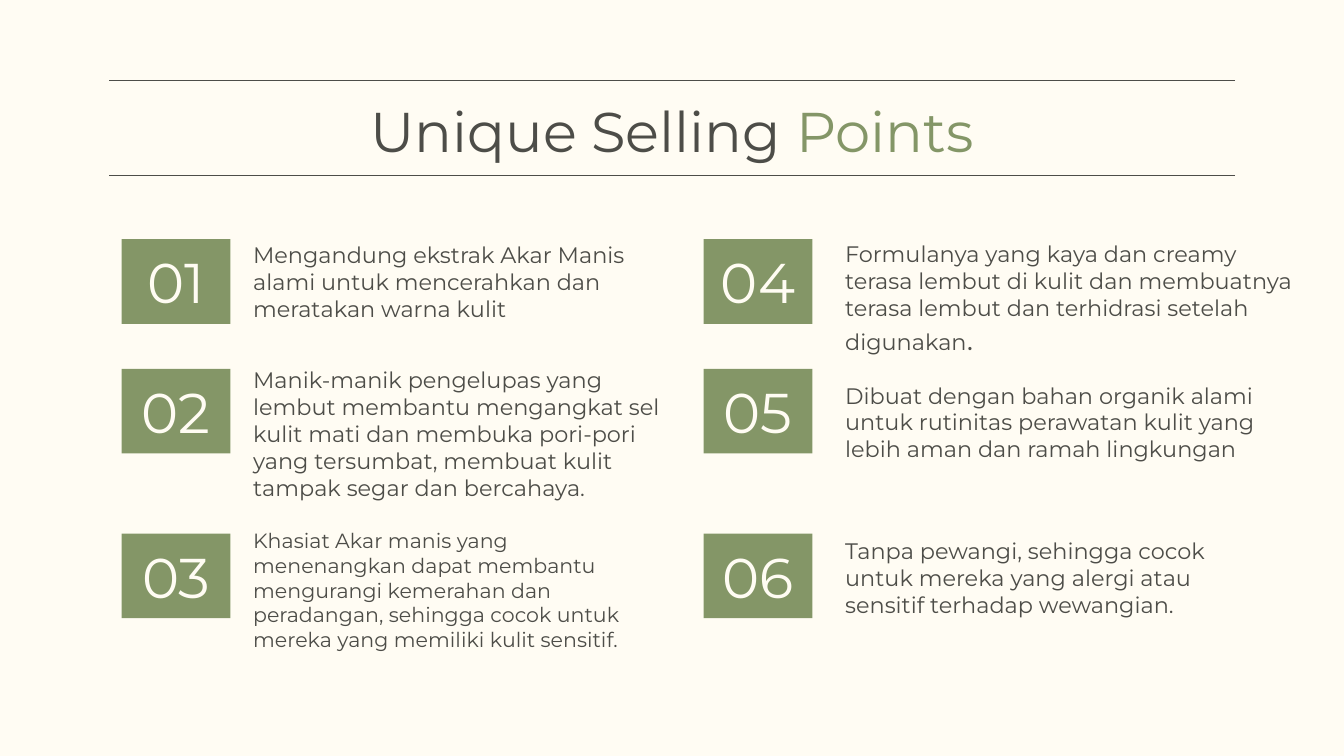
from dataclasses import dataclass
from lxml.etree import SubElement
from pptx import Presentation
from pptx.dml.color import RGBColor as Color
from pptx.enum.shapes import MSO_CONNECTOR as Link, MSO_SHAPE as Form
from pptx.enum.text import MSO_ANCHOR as Anchor, PP_ALIGN as Align
from pptx.oxml.ns import qn
from pptx.util import Emu, Pt

SCALE = 4572


@dataclass(frozen=True)
class Theme:
    face: str = "Montserrat"
    paper: Color = Color.from_string("FFFCF3")
    ink: Color = Color.from_string("4D4D48")
    green: Color = Color.from_string("849667")
    head: int = 30
    body: int = 12
    small: int = 11
    stop: int = 16
    rule: float = 0.75


@dataclass(frozen=True)
class Box:
    left: int
    top: int
    width: int
    height: int


@dataclass(frozen=True)
class Run:
    text: str
    size: int
    color: Color


@dataclass(frozen=True)
class Point:
    box: Box
    runs: tuple[Run, ...]


THEME = Theme()
COLS = (181, 1047)
ROWS = (356, 549, 794)
TILE = (162, 126)


def px(size: int) -> Emu:
    return Emu(size * SCALE)


def place(box: Box) -> tuple[Emu, ...]:
    return tuple(px(side) for side in (box.left, box.top, box.width, box.height))


def note(text: str, size: int = THEME.body) -> Run:
    return Run(text, size, THEME.ink)


def write(shape, runs: tuple[Run, ...], align: Align = Align.LEFT,
          anchor: Anchor = Anchor.TOP) -> None:
    frame = shape.text_frame
    inset = px(20)
    style = {"word_wrap": True, "vertical_anchor": anchor,
             "margin_left": inset, "margin_right": inset,
             "margin_top": inset, "margin_bottom": inset}
    for name, value in style.items():
        setattr(frame, name, value)
    para = frame.paragraphs[0]
    para.alignment = align
    for run in runs:
        part = para.add_run()
        part.text = run.text
        for name, value in {"name": THEME.face, "size": Pt(run.size)}.items():
            setattr(part.font, name, value)
        part.font.color.rgb = run.color


def add_text(slide, box: Box, runs: tuple[Run, ...],
             align: Align = Align.LEFT) -> None:
    write(slide.shapes.add_textbox(*place(box)), runs, align)


def add_tile(slide, box: Box, label: str) -> None:
    tile = slide.shapes.add_shape(Form.RECTANGLE, *place(box))
    tile.shadow.inherit = False
    tile.fill.solid()
    tile.fill.fore_color.rgb = THEME.green
    tile.line.fill.background()
    write(tile, (Run(label, THEME.head, THEME.paper),), Align.CENTER, Anchor.MIDDLE)


def add_rule(slide, top: int) -> None:
    rule = slide.shapes.add_connector(
        Link.STRAIGHT, px(1838), px(top), px(162), px(top))
    rule.line.color.rgb = THEME.ink
    rule.line.width = Pt(THEME.rule)
    SubElement(rule._element.spPr, qn("a:effectLst"))


POINTS = (
    Point(Box(357, 339, 676, 144), (
        note("Mengandung ekstrak Akar Manis alami untuk mencerahkan dan "
             "meratakan warna kulit"),)),
    Point(Box(357, 525, 676, 232), (
        note("Manik-manik pengelupas yang lembut membantu mengangkat sel kulit "
             "mati dan membuka pori-pori yang tersumbat, membuat kulit tampak "
             "segar dan bercahaya."),)),
    Point(Box(357, 766, 600, 218), (
        note("Khasiat Akar manis yang menenangkan dapat membantu mengurangi "
             "kemerahan dan peradangan, sehingga cocok untuk mereka yang "
             "memiliki kulit sensitif.", THEME.small),)),
    Point(Box(1238, 337, 714, 198), (
        note("Formulanya yang kaya dan creamy terasa lembut di kulit dan "
             "membuatnya terasa lembut dan terhidrasi setelah digunakan"),
        note(".", THEME.stop))),
    Point(Box(1238, 548, 676, 156), (
        note("Dibuat dengan bahan organik alami untuk rutinitas perawatan kulit "
             "yang lebih aman dan ramah lingkungan"),)),
    Point(Box(1238, 780, 664, 156), (
        note("Tanpa pewangi, sehingga cocok untuk mereka yang alergi atau "
             "sensitif terhadap wewangian."),)),
)


def main() -> None:
    deck = Presentation()
    for name, value in {"slide_width": px(2000), "slide_height": px(1125)}.items():
        setattr(deck, name, value)
    slide = deck.slides.add_slide(deck.slide_layouts[6])
    slide.background.fill.solid()
    slide.background.fill.fore_color.rgb = THEME.paper
    for top in (120, 261):
        add_rule(slide, top)
    add_text(slide, Box(156, 124, 1688, 134), (
        note("Unique Selling", THEME.head),
        Run(" Points", THEME.head, THEME.green)), Align.CENTER)
    for index, point in enumerate(POINTS):
        col, row = divmod(index, len(ROWS))
        add_tile(slide, Box(COLS[col], ROWS[row], *TILE), f"{index + 1:02}")
        add_text(slide, point.box, point.runs)
    deck.save("out.pptx")


if __name__ == "__main__":
    main()
